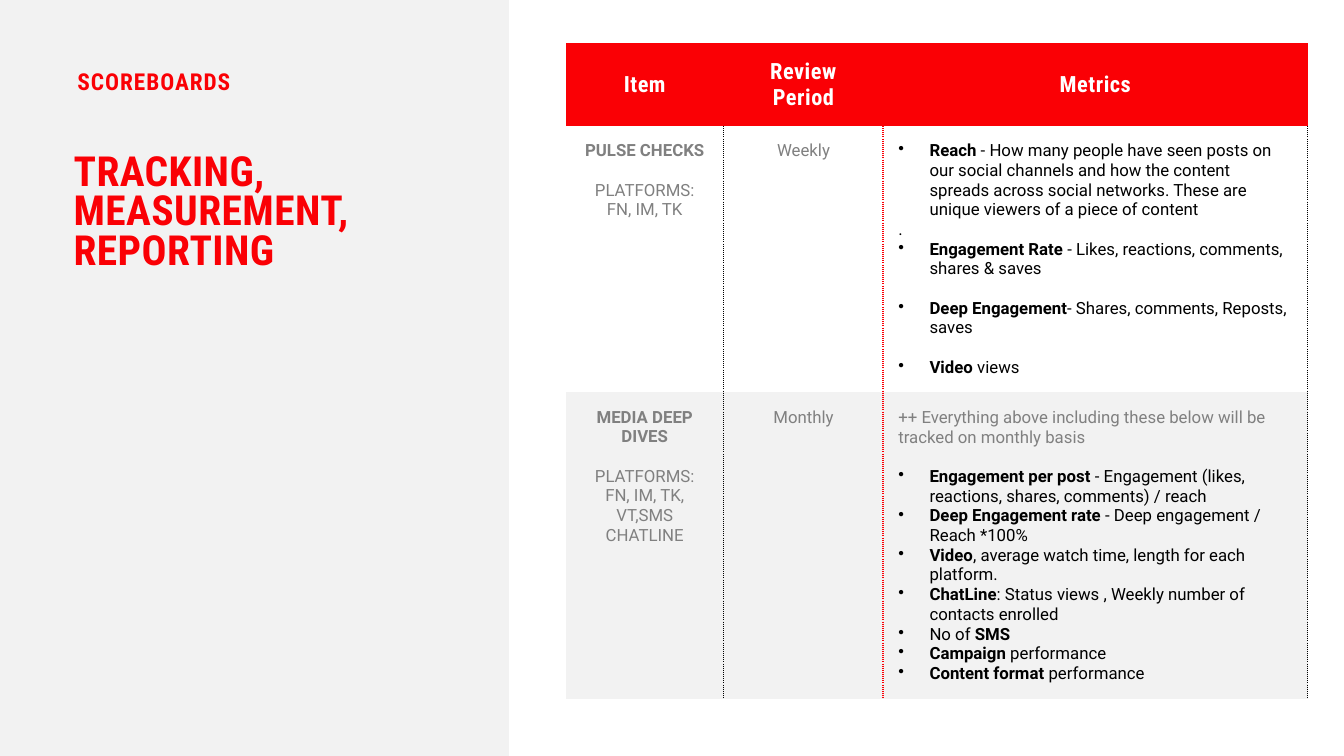
from lxml.etree import SubElement
from pptx import Presentation
from pptx.dml.color import RGBColor
from pptx.enum.shapes import MSO_SHAPE
from pptx.enum.text import MSO_ANCHOR as Anchor, MSO_AUTO_SIZE as AutoSize, PP_ALIGN as Align
from pptx.oxml.ns import qn
from pptx.util import Inches, Pt

RED, GREY, PALE, WHITE, BLACK = "FA0005", "808080", "F2F2F2", "FFFFFF", "000000"
BODY, HEADING = "Roboto", "Roboto Condensed"
BLANK_LINE = 14.06

HEADERS = ["Item", "Review Period", "Metrics"]
PULSE_METRICS = [
    ("Reach", " - How many people have seen posts on our social channels and how the content "
              "spreads across social networks. These are unique viewers of a piece of content"),
    ("", "."),
    ("Engagement Rate", " - Likes, reactions, comments, shares & saves"),
    ("Deep Engagement", "- Shares, comments, Reposts, saves"),
    ("Video", " views"),
]
MONTHLY_METRICS = [
    ("", "++ Everything above including these below will be tracked on monthly basis"),
    ("Engagement per post ", "- Engagement (likes, reactions, shares, comments) / reach"),
    ("Deep Engagement rate ", "- Deep engagement / Reach *100%"),
    ("Video", ", average watch time, length for each platform."),
    ("ChatLine", ": Status views , Weekly number of contacts enrolled"),
    ("", "No of ", "SMS"),
    ("Campaign ", "performance"),
    ("Content format ", "performance"),
]


def color(hex_code):
    """Return the colour for a hex string."""
    return RGBColor.from_string(hex_code)


def format_font(font, name, size, hex_code, bold=False):
    """Set the typeface, size, colour and weight of a font."""
    font.name, font.size, font.bold = name, Pt(size), bold
    font.color.rgb = color(hex_code)


def format_heading(paragraph, size, hex_code, tracking):
    """Format the runs of a bold condensed heading with letter spacing."""
    for run in paragraph.runs:
        format_font(run.font, HEADING, size, hex_code, True)
        run.font._element.set("spc", str(round(tracking * 100)))


def place_heading(shape, text, box, size, line_spacing, tracking):
    """Move a text shape into place and fill it with a red heading."""
    shape.left, shape.top, shape.width, shape.height = (Inches(length) for length in box)
    frame = shape.text_frame
    frame.text = text
    frame.word_wrap, frame.auto_size = True, AutoSize.NONE
    frame.vertical_anchor = Anchor.TOP
    paragraph = frame.paragraphs[0]
    paragraph.alignment = Align.LEFT
    paragraph.line_spacing = line_spacing
    format_heading(paragraph, size, RED, tracking)


def add_panel(slide):
    """Add the white panel behind the table."""
    panel = slide.shapes.add_shape(
        MSO_SHAPE.RECTANGLE, Inches(5.05), 0, Inches(8.28), Inches(7.5))
    panel.shadow.inherit = False
    panel.fill.solid()
    panel.fill.fore_color.rgb = color(WHITE)
    panel.line.fill.background()


def add_border(cell, side, line=None):
    """Give one side of a cell a dotted line, or no line."""
    border = SubElement(cell._tc.get_or_add_tcPr(), qn("a:ln" + side))
    if line is None:
        SubElement(border, qn("a:noFill"))
        return
    hex_code, width = line
    border.set("w", str(Pt(width)))
    fill = SubElement(border, qn("a:solidFill"))
    SubElement(fill, qn("a:srgbClr"), val=hex_code)
    SubElement(border, qn("a:prstDash"), val="sysDot")


def style_cell(cell, left, right, fill=None):
    """Set the margins, side borders and fill of a cell."""
    cell.margin_left = cell.margin_right = Inches(0.15)
    cell.margin_top = cell.margin_bottom = Inches(0.15)
    for side, line in zip("LRTB", (left, right, None, None)):
        add_border(cell, side, line)
    if fill:
        cell.fill.solid()
        cell.fill.fore_color.rgb = color(fill)
    else:
        cell.fill.background()


def add_bullet(paragraph):
    """Give a paragraph a hanging bullet."""
    properties = paragraph._p.get_or_add_pPr()
    properties.set("marL", str(Inches(0.31)))
    properties.set("indent", str(Inches(-0.31)))
    SubElement(properties, qn("a:buChar"), char="•")


def fill_item(cell, lines, first_bold=False):
    """Write centred grey lines, a blank line's height apart."""
    cell.text_frame.text = "\n".join(lines)
    for index, paragraph in enumerate(cell.text_frame.paragraphs):
        paragraph.alignment = Align.CENTER
        if index:
            paragraph.space_before = Pt(BLANK_LINE)
        format_font(paragraph.runs[0].font, BODY, 12, GREY, first_bold and index == 0)


def fill_metrics(cell, metrics, plain, plain_color, spaced):
    """Write metrics with alternating bold and regular parts, bulleted except one."""
    frame = cell.text_frame
    for index, parts in enumerate(metrics):
        paragraph = frame.add_paragraph() if index else frame.paragraphs[0]
        if index in spaced:
            paragraph.space_before = Pt(BLANK_LINE)
        if index != plain:
            add_bullet(paragraph)
        for position, part in enumerate(parts):
            if part:
                run = paragraph.add_run()
                run.text = part
                hex_code = plain_color if index == plain else BLACK
                format_font(run.font, BODY, 12, hex_code, position % 2 == 0)


def add_scoreboard(slide):
    """Add the table of items, review periods and metrics."""
    widths, heights = [1.57, 1.58, 4.21], [0.82, 2.64, 3.04]
    table = slide.shapes.add_table(
        3, 3, Inches(5.61), Inches(0.43), Inches(sum(widths)), Inches(sum(heights))).table
    for column, width in zip(table.columns, widths):
        column.width = Inches(width)
    for row, height in zip(table.rows, heights):
        row.height = Inches(height)

    dark, red = (BLACK, 0.75), (RED, 1.5)
    edges = [None, dark, red, dark]
    for row, fill in enumerate([RED, None, PALE]):
        for column in range(3):
            left, right = edges[column:column + 2] if row else (None, None)
            style_cell(table.cell(row, column), left, right, fill)

    for column, header in enumerate(HEADERS):
        cell = table.cell(0, column)
        cell.text_frame.text = header
        cell.vertical_anchor = Anchor.MIDDLE
        paragraph = cell.text_frame.paragraphs[0]
        paragraph.alignment = Align.CENTER
        format_heading(paragraph, 16, WHITE, 0.4)

    fill_item(table.cell(1, 0), ["PULSE CHECKS", "PLATFORMS: FN, IM, TK"], True)
    fill_item(table.cell(1, 1), ["Weekly"])
    fill_metrics(table.cell(1, 2), PULSE_METRICS, 1, BLACK, {3, 4})
    fill_item(table.cell(2, 0),
              ["MEDIA DEEP DIVES", "PLATFORMS: FN, IM, TK, VT,SMS CHATLINE"], True)
    fill_item(table.cell(2, 1), ["Monthly"])
    fill_metrics(table.cell(2, 2), MONTHLY_METRICS, 0, GREY, {1})
    table.cell(2, 2).vertical_anchor = Anchor.MIDDLE


def main():
    """Build and save the slide."""
    presentation = Presentation()
    presentation.slide_width, presentation.slide_height = Inches(13.33), Inches(7.5)
    slide = presentation.slides.add_slide(presentation.slide_layouts[5])
    slide.background.fill.solid()
    slide.background.fill.fore_color.rgb = color(PALE)
    add_panel(slide)
    label = slide.shapes.add_textbox(0, 0, 0, 0)
    place_heading(label, "SCOREBOARDS", (0.67, 0.69, 3.87, 0.31), 16.6, 0.7, 0.7)
    place_heading(slide.shapes.title, "TRACKING, MEASUREMENT, REPORTING",
                  (0.63, 1.48, 3.91, 1.44), 29.6, 0.8, 0.3)
    add_scoreboard(slide)
    presentation.save("out.pptx")


if __name__ == "__main__":
    main()
